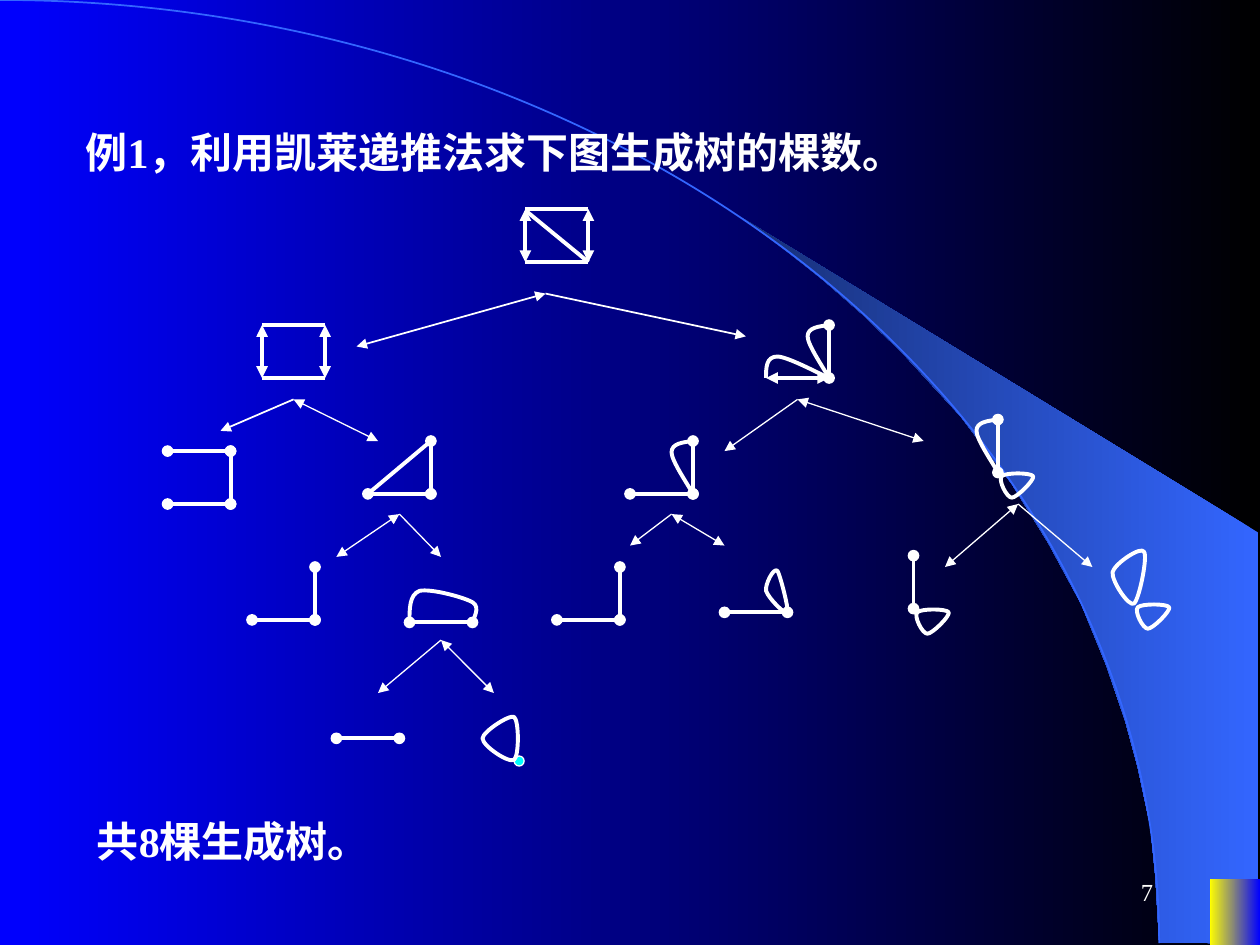
from lxml import etree
from pptx import Presentation
from pptx.dml.color import RGBColor
from pptx.enum import shapes, text
from pptx.oxml import ns
from pptx.util import Inches, Pt

COLORS = {"white": "FFFFFF", "black": "000000", "blue": "0000FF", "sky": "3366FF",
          "navy": "172F75", "yellow": "FFFF00", "cyan": "00FFFF"}
FONT = "Times New Roman"
WIDE, HIGH = 0.5, 0.42  # edge lengths in the small graphs
BOLD = 2.25

PANEL = [(9.2, 7.48), (9.99, 7.49), (9.99, 4.23), (5.89, 1.73), (6.24, 1.99),
         (6.53, 2.22), (6.85, 2.5), (7.16, 2.8), (7.62, 3.3), (8.03, 3.84),
         (8.32, 4.31), (8.58, 4.79), (8.78, 5.28), (8.93, 5.72), (9.03, 6.09),
         (9.13, 6.56), (9.17, 6.96)]

# Loops as Bezier points: a start, then three points for each curve
TALL = [(0, -0.42), (-0.08, -0.41), (-0.17, -0.4), (-0.17, -0.33),
        (-0.17, -0.26), (-0.03, -0.06), (0, 0)]
PETAL = [(0.03, 0.03), (0.06, 0), (0.26, 0), (0.28, 0.03), (0.29, 0.06),
         (0.15, 0.2), (0.11, 0.2), (0.07, 0.2), (0, 0.06), (0.03, 0.03)]
FLAT = [(6.08, 3), (6.08, 2.92), (6.08, 2.83), (6.17, 2.83), (6.25, 2.83),
        (6.51, 2.97), (6.58, 3)]
DOME = [(3.25, 4.94), (3.25, 4.83), (3.25, 4.72), (3.33, 4.69), (3.42, 4.67),
        (3.68, 4.74), (3.75, 4.78), (3.82, 4.82), (3.75, 4.92), (3.75, 4.94)]
DROP = [(6.25, 4.86), (6.24, 4.89), (6.1, 4.75), (6.08, 4.69), (6.07, 4.64),
        (6.14, 4.5), (6.17, 4.53), (6.19, 4.56), (6.26, 4.83), (6.25, 4.86)]
LEAF = [(9, 4.79), (8.96, 4.82), (8.82, 4.61), (8.83, 4.54), (8.85, 4.47),
        (9.06, 4.33), (9.08, 4.38), (9.11, 4.42), (9.04, 4.76), (9, 4.79)]
BEAN = [(4.08, 6.03), (4.04, 6.06), (3.83, 5.92), (3.83, 5.86), (3.83, 5.81),
        (4.04, 5.67), (4.08, 5.69), (4.12, 5.72), (4.12, 6), (4.08, 6.03)]

# Branches: parent, left child, right child, side with two heads, line width
TREE = [((4.33, 2.33), (2.83, 2.75), (5.92, 2.67), 0, (1, 1)),
        ((2.33, 3.17), (1.75, 3.42), (3, 3.5), 1, (1, 0.75)),
        ((3.17, 4.08), (2.67, 4.42), (3.5, 4.42), 0, (0.75, 0.75)),
        ((3.5, 5.08), (3, 5.5), (3.92, 5.5), 1, (0.75, 0.75)),
        ((6.33, 3.17), (5.75, 3.58), (7.33, 3.5), 1, (0.75, 0.75)),
        ((5.33, 4.08), (5, 4.33), (5.75, 4.33), 1, (0.75, 0.75)),
        ((8.08, 4), (7.5, 4.5), (8.67, 4.5), 0, (0.75, 0.75))]


def rgb(name):
    return RGBColor.from_string(COLORS[name])


def blend(fill, first, last):
    """Gradient that runs from right to left."""
    fill.gradient()
    fill.gradient_angle = 180
    for stop, name in zip(fill.gradient_stops, (first, last)):
        stop.color.rgb = rgb(name)


def stroke(line, width, color="white"):
    line.color.rgb = rgb(color)
    line.width = Pt(width)


def edge(slide, start, end, head=None, tail=None, width=BOLD):
    line = slide.shapes.add_connector(
        shapes.MSO_CONNECTOR.STRAIGHT, *[Inches(v) for v in (*start, *end)])
    stroke(line.line, width)
    ln = line.line._get_or_add_ln()
    for tag, kind in (("a:headEnd", head), ("a:tailEnd", tail)):
        if kind:
            etree.SubElement(ln, ns.qn(tag)).set("type", kind)
    etree.SubElement(line._element.spPr, ns.qn("a:effectLst"))


def across(slide, x, y, ends="oval"):
    edge(slide, (x, y), (x + WIDE, y), ends, ends)


def upright(slide, x, y, ends="oval"):
    edge(slide, (x, y - HIGH), (x, y), ends, ends)


def corner(slide, x, y):
    across(slide, x, y)
    upright(slide, x + WIDE, y)


def box(slide, x, y):
    for side in (0, WIDE):
        upright(slide, x + side, y, "triangle")
    for rise in (0, HIGH):
        across(slide, x, y - rise, None)


def preset(slide, kind, place):
    shape = slide.shapes.add_shape(kind, *[Inches(v) for v in place])
    shape.shadow.inherit = False
    return shape


def outline(slide, points, close=False):
    dots = [(Inches(x), Inches(y)) for x, y in points]
    form = slide.shapes.build_freeform(*dots[0], scale=1.0)
    form.add_line_segments(dots[1:], close=close)
    shape = form.convert_to_shape()
    shape.shadow.inherit = False
    return shape


def curve(slide, points, at=(0, 0)):
    """Turn each three points after the start into one Bezier curve."""
    shape = outline(slide, [(x + at[0], y + at[1]) for x, y in points],
                    points[0] == points[-1])
    lines = list(shape._element.iter(ns.qn("a:lnTo")))
    for i in range(0, len(points) - 1, 3):
        bend = etree.Element(ns.qn("a:cubicBezTo"))
        lines[i].addprevious(bend)
        for line in lines[i:i + 3]:
            bend.append(line[0])
            line.getparent().remove(line)
    shape.fill.background()
    stroke(shape.line, BOLD)


def write(shape, words, place, size=24, bold=True, align=text.PP_ALIGN.LEFT):
    shape.left, shape.top, shape.width, shape.height = [Inches(v) for v in place]
    frame = shape.text_frame
    frame.text = words
    frame.word_wrap = True
    frame.vertical_anchor = text.MSO_ANCHOR.MIDDLE
    para = frame.paragraphs[0]
    para.alignment = align
    font = para.runs[0].font
    font.name, font.size, font.bold = FONT, Pt(size), bold
    font.color.rgb = rgb("white")


def label(slide, words, place, **style):
    write(slide.shapes.add_textbox(0, 0, 0, 0), words, place, **style)


def backdrop(slide):
    blend(slide.background.fill, "black", "blue")
    panel = outline(slide, PANEL, True)
    blend(panel.fill, "sky", "navy")
    panel.line.fill.background()
    arc = preset(slide, shapes.MSO_SHAPE.ARC, (-9.2, 0, 18.4, 14.97))
    arc.fill.background()
    stroke(arc.line, 1, "sky")
    block = preset(slide, shapes.MSO_SHAPE.RECTANGLE, (9.6, 6.98, 0.4, 0.52))
    blend(block.fill, "blue", "yellow")
    block.line.fill.background()


def graphs(slide):
    # Start graph and its two children
    box(slide, 4.17, 2.08)
    edge(slide, (4.17, 1.67), (4.67, 2.08))
    box(slide, 2.08, 3)
    across(slide, 6.08, 3, "triangle")
    upright(slide, 6.58, 3)
    curve(slide, FLAT)
    # Third row
    across(slide, 1.33, 3.58)
    corner(slide, 1.33, 4)
    corner(slide, 2.92, 3.92)
    edge(slide, (3.42, 3.5), (2.92, 3.92))
    corner(slide, 5, 3.92)
    upright(slide, 7.92, 3.75)
    # Fourth row
    corner(slide, 2, 4.92)
    across(slide, 3.25, 4.94)
    curve(slide, DOME)
    corner(slide, 4.42, 4.92)
    across(slide, 5.75, 4.86)
    curve(slide, DROP)
    upright(slide, 7.25, 4.83)
    curve(slide, LEAF)
    # Loops that recur
    for spot in ((6.58, 3), (5.5, 3.92), (7.92, 3.75)):
        curve(slide, TALL, spot)
    for spot in ((7.92, 3.75), (7.25, 4.83), (9, 4.79)):
        curve(slide, PETAL, spot)
    # Last row
    across(slide, 2.67, 5.86)
    dot = preset(slide, shapes.MSO_SHAPE.OVAL, (4.08, 6, 0.08, 0.08))
    dot.fill.solid()
    dot.fill.fore_color.rgb = rgb("cyan")
    stroke(dot.line, 0.75)
    curve(slide, BEAN)


def main():
    deck = Presentation()
    deck.slide_width, deck.slide_height = Inches(10), Inches(7.5)
    slide = deck.slides.add_slide(deck.slide_layouts[5])
    backdrop(slide)
    # Title, brought in front of the backdrop
    title = slide.shapes.title
    write(title, "例1，利用凯莱递推法求下图生成树的棵数。", (0.58, 0.95, 8.08, 0.5))
    slide.shapes._spTree.append(title._element)
    graphs(slide)
    # Branches
    for parent, left, right, both, widths in TREE:
        for side, child in enumerate((left, right)):
            head = "triangle" if side == both else None
            edge(slide, parent, child, head, "triangle", widths[side])
    # Result and page number
    label(slide, "共8棵生成树。", (0.67, 6.42, 8.08, 0.5))
    label(slide, "7", (7.17, 6.83, 2.08, 0.5), size=14, bold=False,
          align=text.PP_ALIGN.RIGHT)
    deck.save("out.pptx")


if __name__ == "__main__":
    main()
